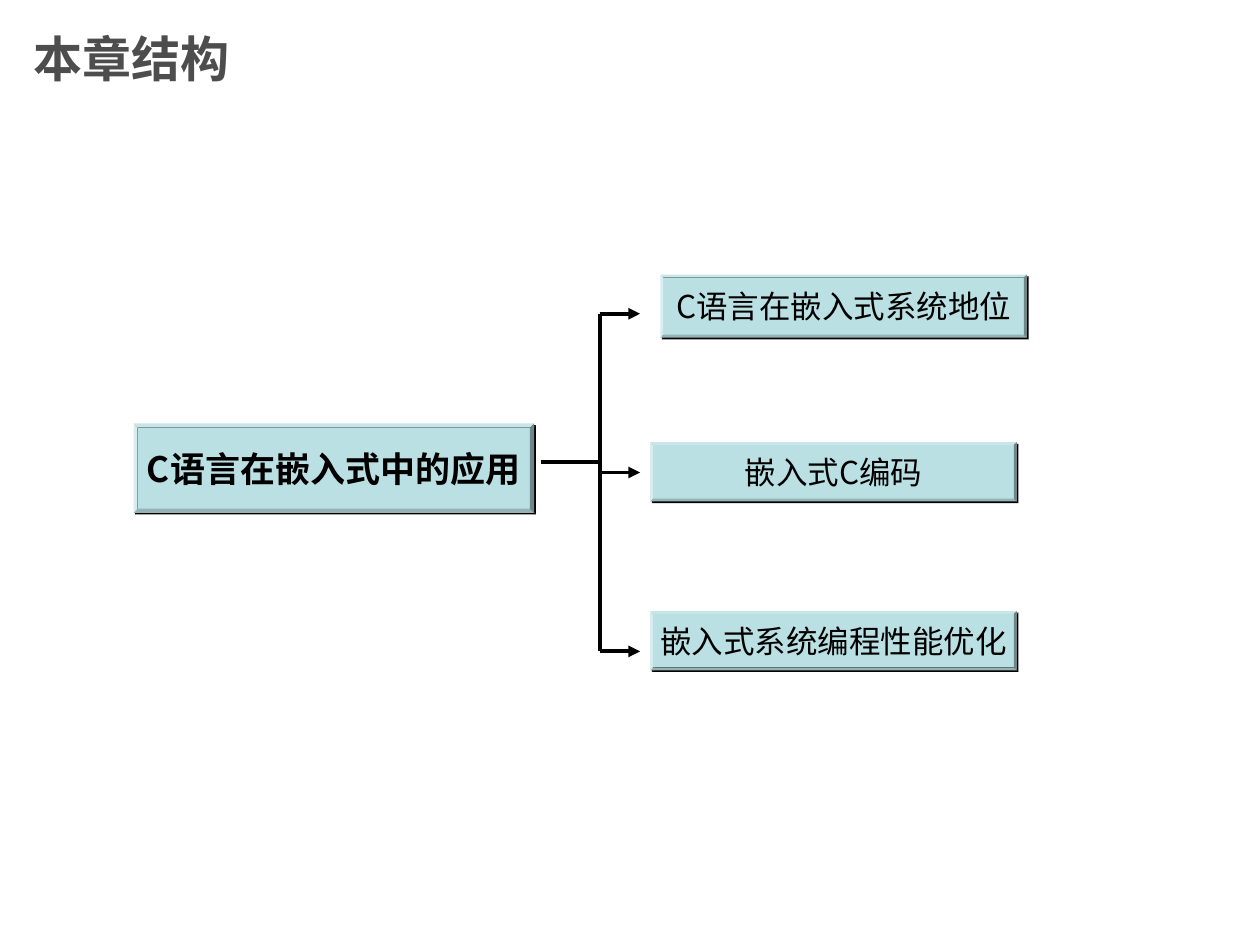
from lxml import etree
from pptx import Presentation
from pptx.dml.color import RGBColor
from pptx.enum.shapes import MSO_CONNECTOR, MSO_SHAPE
from pptx.enum.text import MSO_ANCHOR, PP_ALIGN
from pptx.oxml.ns import qn
from pptx.util import Inches, Pt

BEVEL = MSO_SHAPE.BEVEL
STRAIGHT = MSO_CONNECTOR.STRAIGHT
MIDDLE = MSO_ANCHOR.MIDDLE
LEFT, CENTER = PP_ALIGN.LEFT, PP_ALIGN.CENTER

WIDTH, HEIGHT = 10, 7.5
COLORS = {"title": "4D4D4D", "box": "BBE0E3", "ink": "000000"}
CJK_FONT = "Noto Sans CJK SC"

# Columns and rows of the tree, in inches
TRUNK_X, TIP_X = 4.76, 5.08
ROOT_EDGE_X, ROOT_Y = 4.29, 3.67
TOPIC_W = 2.91
# Topic text, box left, box top, box height, arrow row
TOPICS = [
    ("C语言在嵌入式系统地位", 5.24, 2.18, 0.5, 2.49),
    ("嵌入式C编码", 5.16, 3.51, 0.47, 3.75),
    ("嵌入式系统编程性能优化", 5.16, 4.85, 0.47, 5.17),
]


def rgb(name):
    return RGBColor.from_string(COLORS[name])


def set_text(s, text, size, color, align, font=CJK_FONT, bold=False, wrap=False):
    tf = s.text_frame
    tf.text = text
    tf.word_wrap = wrap
    tf.vertical_anchor = MIDDLE
    p = tf.paragraphs[0]
    p.alignment = align
    r = p.runs[0]
    r.font.size = Pt(size)
    r.font.bold = bold
    r.font.color.rgb = rgb(color)
    r.font.name = font
    etree.SubElement(r._r.get_or_add_rPr(), qn("a:ea"), typeface=CJK_FONT)


def add_hard_shadow(s):
    s.shadow.inherit = False
    effects = s._element.spPr.find(qn("a:effectLst"))
    shadow = etree.SubElement(effects, qn("a:outerShdw"), dist=str(Pt(1.4)),
                              dir="2700000", algn="ctr", rotWithShape="0")
    etree.SubElement(shadow, qn("a:srgbClr"), val=COLORS["ink"])


def add_title(slide, text):
    s = slide.shapes.add_textbox(Inches(0.17), 0, Inches(0.75 * WIDTH), Inches(0.92))
    set_text(s, text, 28, "title", LEFT, font="Arial", bold=True, wrap=True)


def add_box(slide, text, x, y, w, h, size=18, bold=False):
    s = slide.shapes.add_shape(BEVEL, Inches(x), Inches(y), Inches(w), Inches(h))
    s.adjustments[0] = 0.047
    s.fill.solid()
    s.fill.fore_color.rgb = rgb("box")
    s.line.fill.background()
    add_hard_shadow(s)
    set_text(s, text, size, "ink", CENTER, bold=bold)


def add_line(slide, x1, y1, x2, y2, arrow=False):
    c = slide.shapes.add_connector(STRAIGHT, Inches(x1), Inches(y1), Inches(x2), Inches(y2))
    c.line.color.rgb = rgb("ink")
    c.line.width = Pt(2.25)
    if arrow:
        etree.SubElement(c.line._get_or_add_ln(), qn("a:tailEnd"), type="triangle")
    etree.SubElement(c._element.spPr, qn("a:effectLst"))


def main():
    prs = Presentation()
    prs.slide_width, prs.slide_height = Inches(WIDTH), Inches(HEIGHT)
    slide = prs.slides.add_slide(prs.slide_layouts[6])

    add_title(slide, "本章结构")

    # Root of the tree and its trunk
    add_box(slide, "C语言在嵌入式中的应用", 1.06, 3.36, 3.18, 0.71, size=20, bold=True)
    add_line(slide, ROOT_EDGE_X, ROOT_Y, TRUNK_X, ROOT_Y)
    add_line(slide, TRUNK_X, TOPICS[0][-1], TRUNK_X, TOPICS[-1][-1])

    # One arrow and one box per topic
    for text, x, y, h, arrow_y in TOPICS:
        add_line(slide, TRUNK_X, arrow_y, TIP_X, arrow_y, arrow=True)
        add_box(slide, text, x, y, TOPIC_W, h)

    prs.save("out.pptx")


if __name__ == "__main__":
    main()
